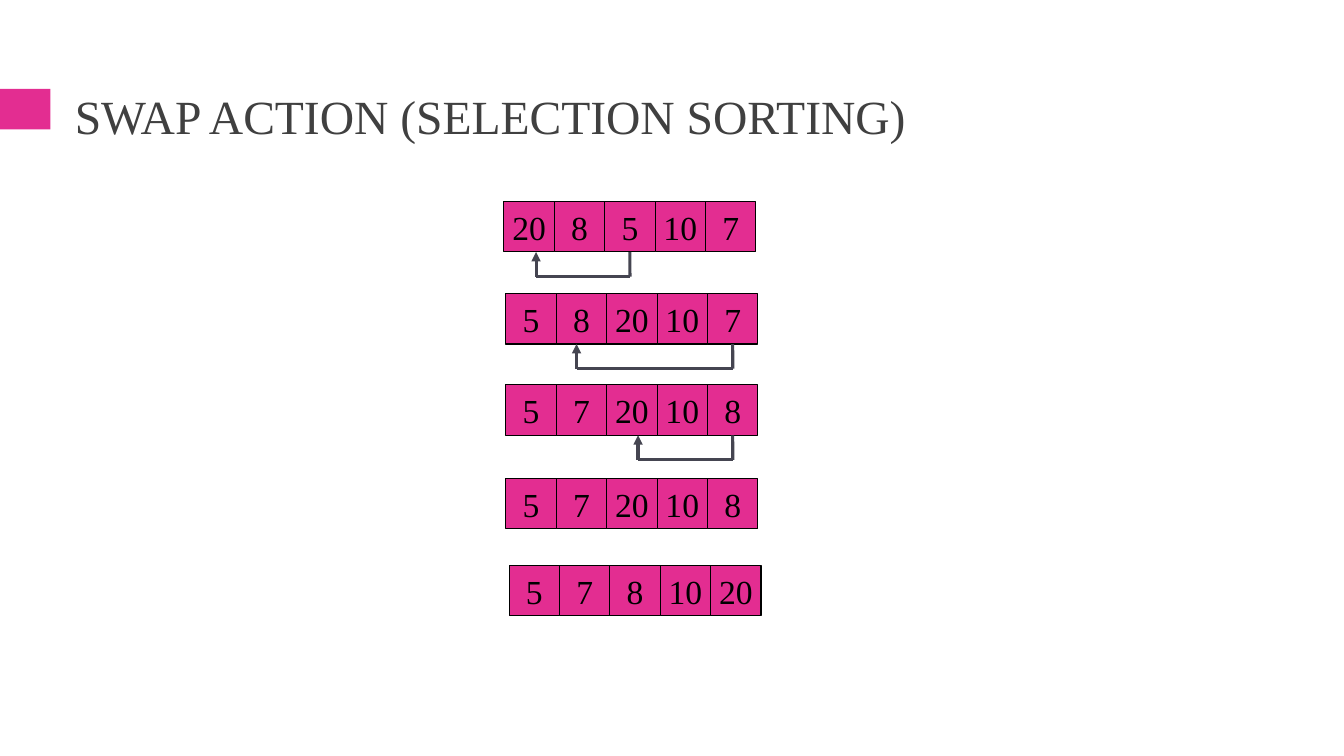
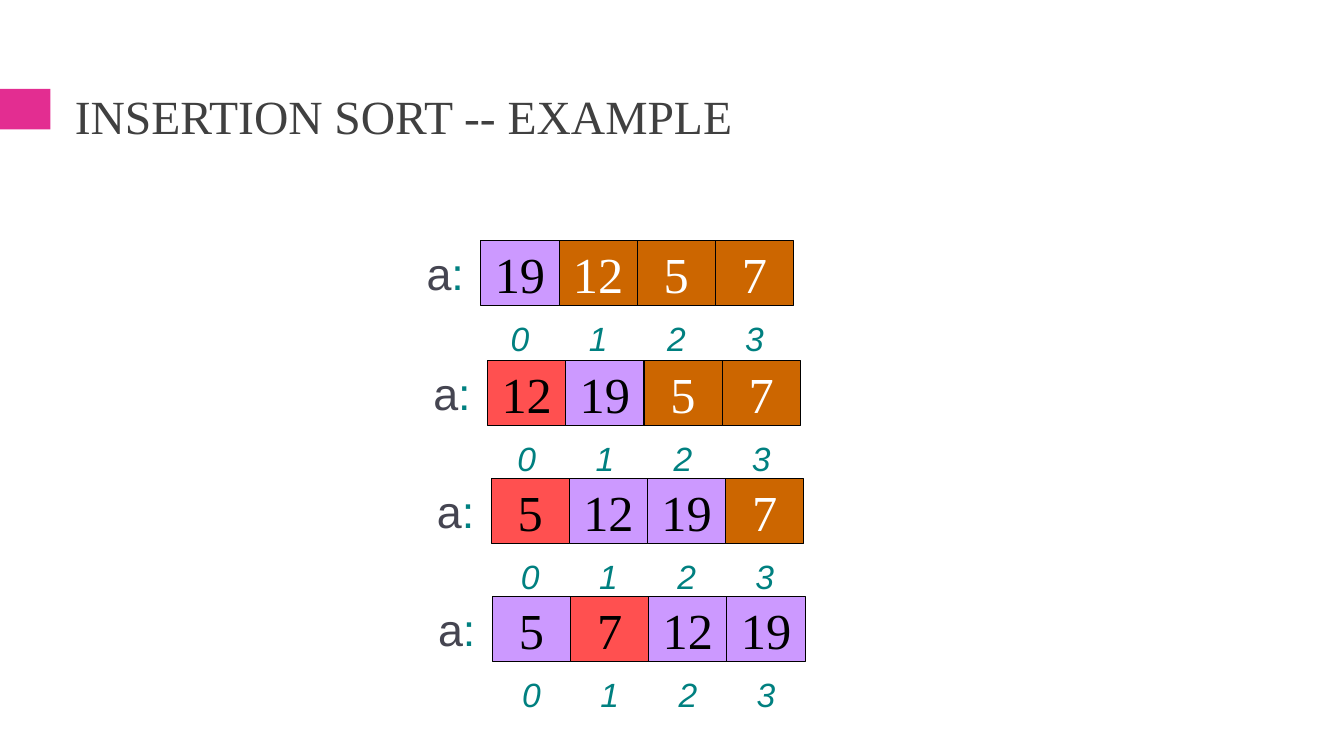
"""Build two slides that trace a selection sort and an insertion sort."""
from dataclasses import dataclass

from lxml.etree import SubElement
from pptx import Presentation
from pptx.dml.color import RGBColor
from pptx.enum.shapes import MSO_CONNECTOR, MSO_SHAPE
from pptx.enum.text import MSO_ANCHOR, PP_ALIGN
from pptx.oxml.ns import qn
from pptx.util import Cm, Pt


@dataclass(frozen=True)
class Theme:
    pink: RGBColor = RGBColor.from_string("E32D91")
    grey: RGBColor = RGBColor.from_string("404040")
    slate: RGBColor = RGBColor.from_string("454551")
    teal: RGBColor = RGBColor.from_string("008080")
    lilac: RGBColor = RGBColor.from_string("CC99FF")
    red: RGBColor = RGBColor.from_string("FF5050")
    brown: RGBColor = RGBColor.from_string("CC6600")
    black: RGBColor = RGBColor.from_string("000000")
    white: RGBColor = RGBColor.from_string("FFFFFF")
    serif: str = "Times New Roman"
    sans: str = "Arial"
    head: Pt = Pt(34)
    large: Pt = Pt(36)
    label: Pt = Pt(32)
    small: Pt = Pt(24)
    edge: Pt = Pt(0.75)
    stroke: Pt = Pt(2.25)


theme = Theme()


def write(shape, text, face, size, color):
    """Centre one line of text in a shape and return its font."""
    frame = shape.text_frame
    frame.word_wrap = False
    frame.vertical_anchor = MSO_ANCHOR.MIDDLE
    para = frame.paragraphs[0]
    para.text = text
    para.alignment = PP_ALIGN.CENTER
    para.font.name = face
    para.font.size = size
    para.font.color.rgb = color
    return para.font


def cell(shapes, box, text, size, fill, ink):
    """Add one outlined array cell."""
    shape = shapes.add_shape(MSO_SHAPE.RECTANGLE, *map(Cm, box))
    shape.shadow.inherit = False
    shape.fill.solid()
    shape.fill.fore_color.rgb = fill
    shape.line.color.rgb = theme.black
    shape.line.width = theme.edge
    write(shape, text, theme.serif, size, ink)
    return shape


deck = Presentation()
deck.slide_width, deck.slide_height = Cm(33.87), Cm(19.05)
layout = deck.slide_layouts[5]
place = layout.placeholders[0]
place.left, place.top = Cm(1.63), Cm(1.96)
place.width, place.height = Cm(30.63), Cm(2.06)

slides = []
for text in ("SWAP ACTION (SELECTION SORTING)", "INSERTION SORT -- EXAMPLE"):
    slide = deck.slides.add_slide(layout)
    title = slide.shapes.title
    write(title, text, theme.serif, theme.head, theme.grey)
    title.text_frame.word_wrap = True
    para = title.text_frame.paragraphs[0]
    para.alignment = PP_ALIGN.LEFT
    para.line_spacing = 0.9
    slides.append(slide)
swap, insert = slides

band = swap.shapes.add_shape(MSO_SHAPE.RECTANGLE, 0, Cm(2.24), Cm(1.27), Cm(1.02))
band.shadow.inherit = False
band.fill.solid()
band.fill.fore_color.rgb = theme.pink
band.line.fill.background()
layout.shapes.element.append(band.element)

side, drop = 1.27, 0.62
rows = (
    (12.7, 5.08, (20, 8, 5, 10, 7), 2, 13.51),
    (12.75, 7.4, (5, 8, 20, 10, 7), 4, 14.53),
    (12.75, 9.7, (5, 7, 20, 10, 8), 4, 16.08),
    (12.75, 12.06, (5, 7, 20, 10, 8), None, None),
    (12.83, 14.25, (5, 7, 8, 10, 20), None, None),
)
for left, top, values, source, tip in rows:
    shapes = swap.shapes.add_group_shape().shapes
    cells = [
        cell(shapes, (left + i * side, top, side, side), str(value),
             theme.small, theme.pink, theme.black)
        for i, value in enumerate(values)
    ]
    if source is None:
        continue
    start = left + (source + 0.5) * side
    base = top + side
    low = base + drop
    links = []
    for ends in ((start, low, start, base), (start, low, tip, low), (tip, low, tip, base)):
        link = shapes.add_connector(MSO_CONNECTOR.STRAIGHT, *map(Cm, ends))
        link.line.color.rgb = theme.slate
        link.line.width = theme.stroke
        SubElement(link.element.spPr, qn("a:effectLst"))
        links.append(link)
    links[0].end_connect(cells[source], 2)
    SubElement(links[-1].element.spPr.get_or_add_ln(), qn("a:tailEnd"), type="triangle")

wide, high = 1.97, 1.63
looks = {
    "sorted": (theme.lilac, theme.black),
    "moved": (theme.red, theme.black),
    "left": (theme.brown, theme.white),
}
steps = (
    (12.12, 6.07, (19, 12, 5, 7), ("sorted", "left", "left", "left")),
    (12.29, 9.09, (12, 19, 5, 7), ("moved", "sorted", "left", "left")),
    (12.38, 12.07, (5, 12, 19, 7), ("moved", "sorted", "sorted", "left")),
    (12.41, 15.04, (5, 7, 12, 19), ("sorted", "moved", "sorted", "sorted")),
)
for left, top, values, states in steps:
    shapes = insert.shapes.add_group_shape().shapes
    for i, (value, state) in enumerate(zip(values, states)):
        x = left + i * wide
        cell(shapes, (x, top, wide, high), str(value), theme.large, *looks[state])
        index = shapes.add_textbox(Cm(x), Cm(top + high), Cm(wide), Cm(high))
        write(index, str(i), theme.sans, theme.small, theme.teal).italic = True
    name = shapes.add_textbox(Cm(left - 1.62), Cm(top), Cm(1.52), Cm(1.6))
    write(name, "a", theme.sans, theme.label, theme.slate)
    para = name.text_frame.paragraphs[0]
    para.alignment = PP_ALIGN.LEFT
    colon = para.add_run()
    colon.text = ":"
    colon.font.color.rgb = theme.teal

deck.save("out.pptx")
